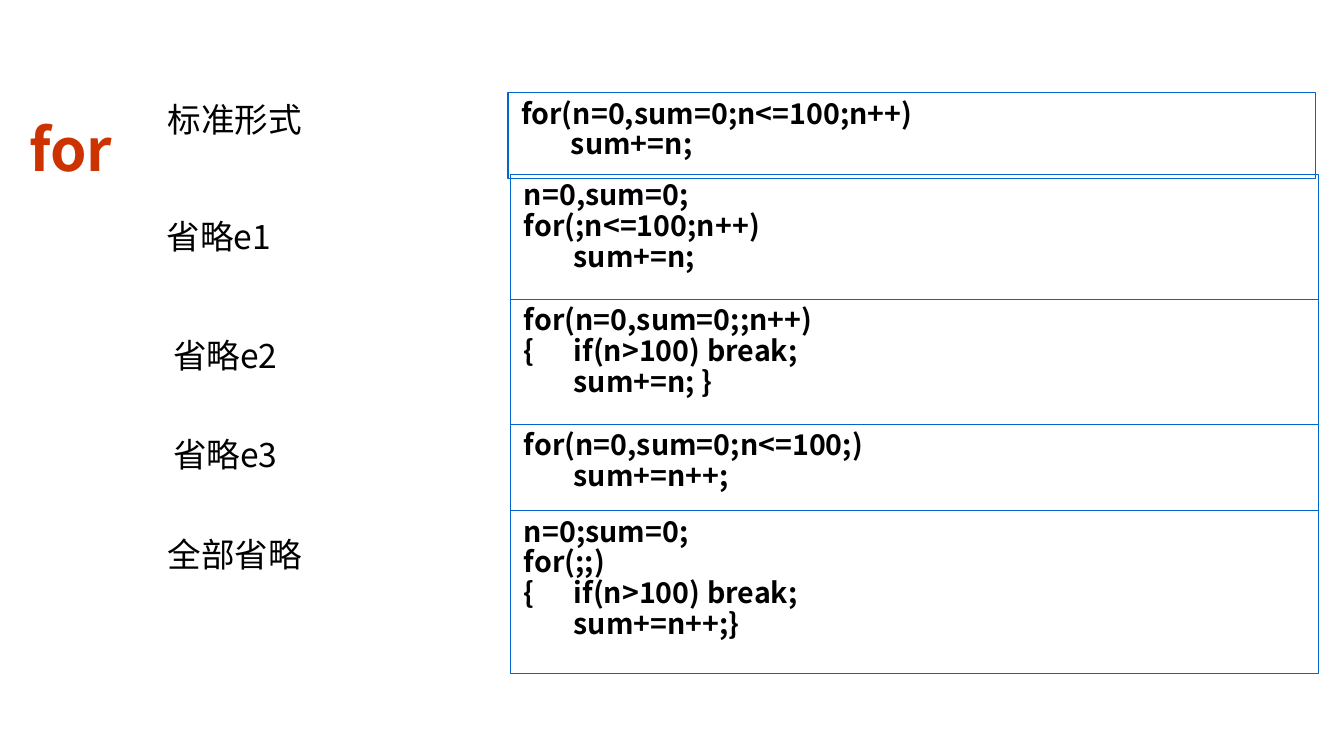
from lxml import etree
from pptx import Presentation
from pptx.dml.color import RGBColor
from pptx.enum import shapes, text
from pptx.oxml.ns import qn
from pptx.util import Inches, Pt

FONT = "Noto Sans CJK SC"
LABELS = [
    ("标准形式", 1.15, 0.69, 1.2),
    ("省略e1", 1.14, 1.56, 2.23),
    ("省略e2", 1.19, 2.44, 1.06),
    ("省略e3", 1.19, 3.18, 1.06),
    ("全部省略", 1.15, 3.92, 1.2),
]
STANDARD = ["for(n=0,sum=0;n<=100;n++)", "\tsum+=n;"]
VARIANTS = [
    ["n=0,sum=0;", "for(;n<=100;n++)", "\tsum+=n;"],
    ["for(n=0,sum=0;;n++)", "{\tif(n>100) break;", "\tsum+=n; }"],
    ["for(n=0,sum=0;n<=100;)", "\tsum+=n++;"],
    ["n=0;sum=0;", "for(;;)", "{\tif(n>100) break;", "\tsum+=n++;}"],
]
HEIGHTS = {2: 0.64, 3: 0.93, 4: 1.21}
INDENT = Inches(0.37)


def rgb(value):
    return RGBColor.from_string(value)


def style(p, size, color="000000", bold=False):
    p.alignment = text.PP_ALIGN.LEFT
    p.font.size = Pt(size)
    p.font.bold = bold
    p.font.color.rgb = rgb(color)
    p.font.name = FONT
    props = p._p.pPr.find(qn("a:defRPr"))
    etree.SubElement(props, qn("a:ea"), typeface=FONT)


def add_label(slide, label, left, top, width):
    sp = slide.shapes.add_textbox(Inches(left), Inches(top), Inches(width), Inches(0.4))
    tf = sp.text_frame
    tf.word_wrap = width > 2
    tf.auto_size = text.MSO_AUTO_SIZE.SHAPE_TO_FIT_TEXT
    tf.text = label
    style(tf.paragraphs[0], 18)


def add_code(slide, lines, left, top, width, height):
    sp = slide.shapes.add_shape(
        shapes.MSO_SHAPE.RECTANGLE, Inches(left), Inches(top), Inches(width), Inches(height)
    )
    sp.shadow.inherit = False
    sp.fill.background()
    sp.line.color.rgb = rgb("0066CC")
    sp.line.width = Pt(0.75)
    tf = sp.text_frame
    tf.word_wrap = True
    tf.vertical_anchor = text.MSO_ANCHOR.TOP
    tf.text = "\n".join(lines)
    for p in tf.paragraphs:
        style(p, 15.3, bold=True)
        p.line_spacing = 0.9
        pPr = p._p.pPr
        pPr.set("marL", str(INDENT))
        pPr.set("indent", str(-INDENT))


def add_variants(slide, left, top, width):
    for lines in VARIANTS:
        height = HEIGHTS[len(lines)]
        add_code(slide, lines, left, top, width, height)
        top += height


def add_keyword(slide, left, top, width, height):
    sp = slide.shapes.add_textbox(Inches(left), Inches(top), Inches(width), Inches(height))
    tf = sp.text_frame
    tf.word_wrap = True
    tf.auto_size = text.MSO_AUTO_SIZE.SHAPE_TO_FIT_TEXT
    p = tf.paragraphs[0]
    r = p.add_run()
    r.text = "for"
    style(p, 54, "CC3300", True)
    p.space_before = Pt(13.5)
    r._r.get_or_add_rPr().set("baseline", "-25000")


def main():
    prs = Presentation()
    prs.slide_width = Inches(10)
    prs.slide_height = prs.slide_width * 9 // 16
    s = prs.slides.add_slide(prs.slide_layouts[6])
    for label in LABELS:
        add_label(s, *label)
    add_code(s, STANDARD, 3.78, 0.69, 6.01, HEIGHTS[len(STANDARD)])
    add_variants(s, 3.8, 1.3, 6.01)
    add_keyword(s, 0.12, 0.29, 2.2, 1.13)
    prs.save("out.pptx")


if __name__ == "__main__":
    main()
